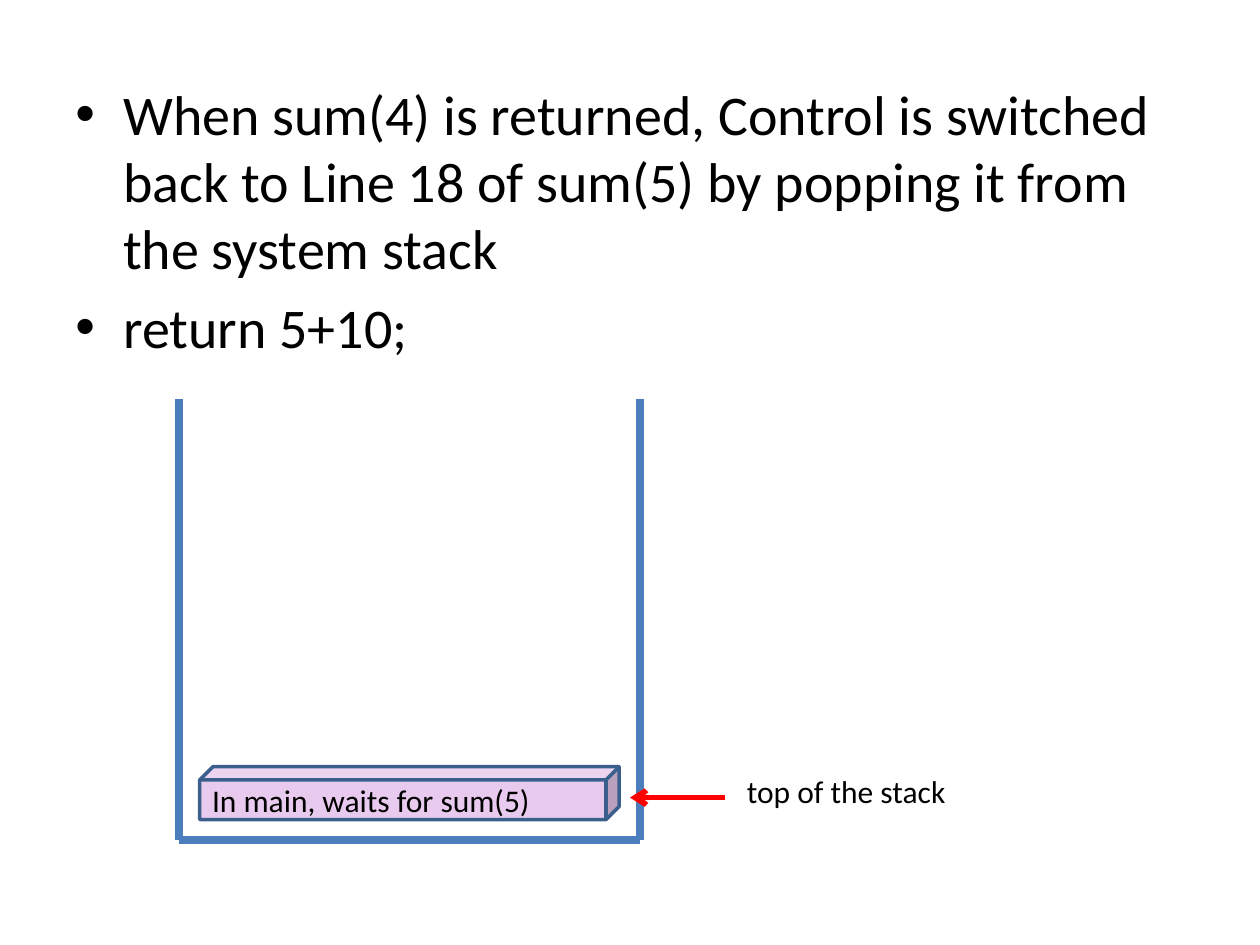
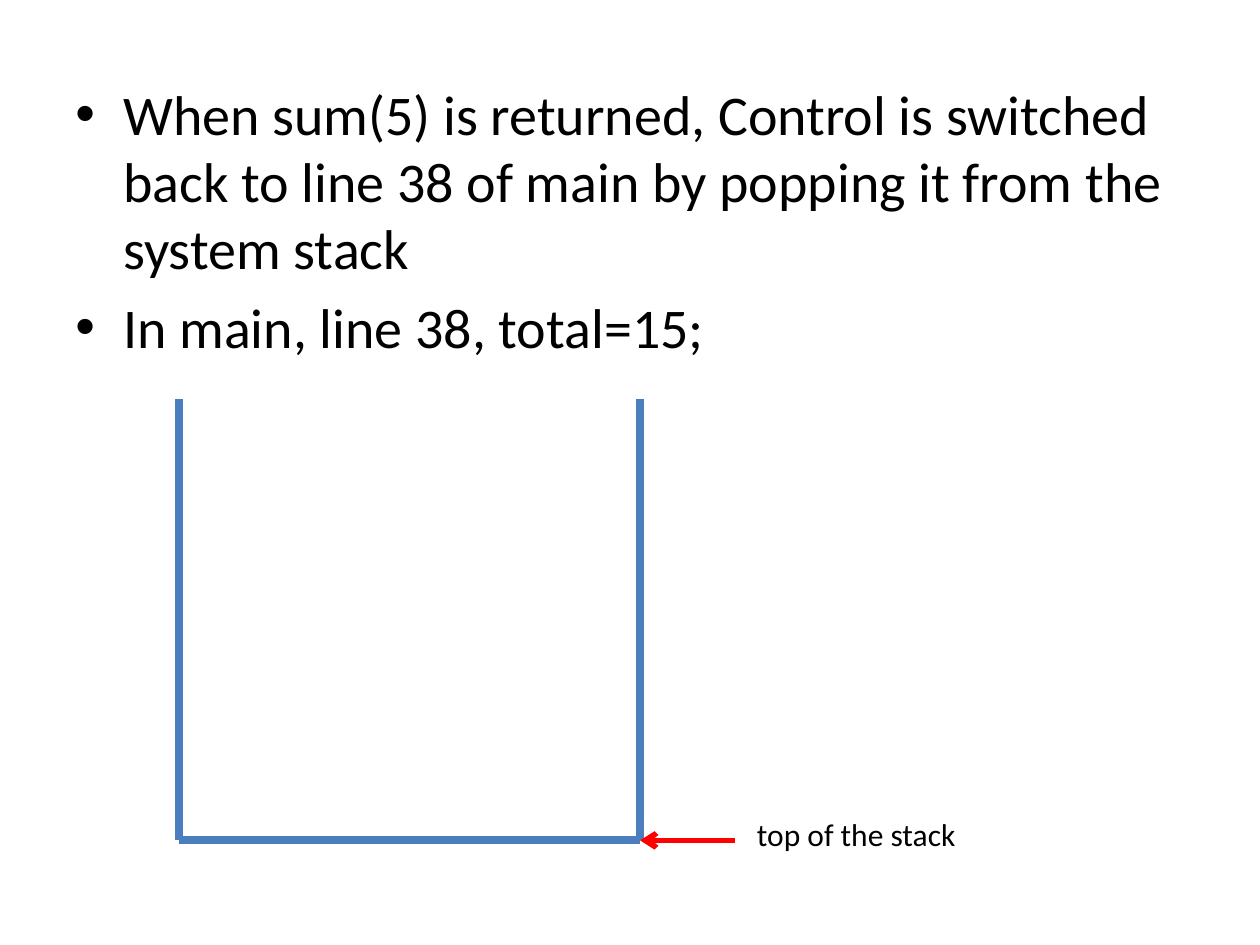
from lxml import etree
from pptx import Presentation
from pptx.dml.color import RGBColor
from pptx.enum.shapes import MSO_CONNECTOR, MSO_SHAPE
from pptx.enum.text import MSO_ANCHOR, MSO_AUTO_SIZE, PP_ALIGN
from pptx.oxml.ns import qn
from pptx.util import Inches, Pt

STRAIGHT = MSO_CONNECTOR.STRAIGHT
CUBE = MSO_SHAPE.CUBE
MIDDLE = MSO_ANCHOR.MIDDLE
LEFT = PP_ALIGN.LEFT
GROW = MSO_AUTO_SIZE.SHAPE_TO_FIT_TEXT

BLACK = RGBColor(0x00, 0x00, 0x00)
STACK_BLUE = RGBColor(0x4B, 0x7E, 0xBC)
FRAME_FILL = RGBColor(0xE8, 0xCA, 0xEE)
FRAME_LINE = RGBColor(0x3A, 0x5F, 0x8C)
POINTER_RED = RGBColor(0xFF, 0x00, 0x00)

FONT = "Calibri"
BODY_SIZE, LABEL_SIZE = 32, 18

# Boxes in inches: left, top, width, height
BODY_BOX = (0.5, 0.58, 9, 6.12)
STACK_BOX = (1.42, 3.17, 3.66, 3.5)
FRAME_HEIGHT = 0.42
FRAME_MARGIN = 0.165
POINTER_LENGTH = 0.75

# Each slide: bullets, stack frames, tip of the pointer
SLIDES = [
    (["When sum(4) is returned, Control is switched back to Line 18 of sum(5) "
      "by popping it from the system stack",
      "return 5+10;"],
     ["In main, waits for sum(5)"], (5, 6.33)),
    (["When sum(5) is returned, Control is switched back to line 38 of main "
      "by popping it from the system stack",
      "In main, line 38, total=15;"],
     [], (5.08, 6.67)),
]


def set_font(paragraph, size):
    paragraph.alignment = LEFT
    paragraph.font.name = FONT
    paragraph.font.size = Pt(size)
    paragraph.font.color.rgb = BLACK


def add_line(shapes, start, end, color, width, arrow=False):
    points = [Inches(value) for value in (*start, *end)]
    line = shapes.add_connector(STRAIGHT, *points)
    line.line.color.rgb = color
    line.line.width = Pt(width)
    if arrow:
        outline = line.line._get_or_add_ln()
        etree.SubElement(outline, qn("a:tailEnd"), type="arrow")
    etree.SubElement(line._element.spPr, qn("a:effectLst"))


def add_bullets(slide, box, texts):
    frame = slide.shapes.add_textbox(*map(Inches, box)).text_frame
    frame.word_wrap = True
    for index, text in enumerate(texts):
        paragraph = frame.paragraphs[0] if index == 0 else frame.add_paragraph()
        paragraph.text = text
        set_font(paragraph, BODY_SIZE)
        paragraph.space_before = Pt(BODY_SIZE * 0.2)
        # Hanging bullet
        properties = paragraph._p.get_or_add_pPr()
        properties.set("marL", str(Inches(0.38)))
        properties.set("indent", str(-Inches(0.38)))
        etree.SubElement(properties, qn("a:buFont"), typeface="Arial")
        etree.SubElement(properties, qn("a:buChar"), char="\u2022")


def add_stack(slide, box, frames):
    left, top, width, height = box
    right, bottom = left + width, top + height

    # Frames, piled up from the bottom
    for level, text in enumerate(frames, start=1):
        cube = slide.shapes.add_shape(
            CUBE, Inches(left + FRAME_MARGIN),
            Inches(bottom - FRAME_MARGIN - level * FRAME_HEIGHT),
            Inches(width - 2 * FRAME_MARGIN), Inches(FRAME_HEIGHT))
        cube.shadow.inherit = False
        cube.fill.solid()
        cube.fill.fore_color.rgb = FRAME_FILL
        cube.line.color.rgb = FRAME_LINE
        cube.line.width = Pt(2)
        cube.text_frame.vertical_anchor = MIDDLE
        cube.text_frame.word_wrap = True
        paragraph = cube.text_frame.paragraphs[0]
        paragraph.text = text
        set_font(paragraph, LABEL_SIZE)

    # Open container
    corners = [(left, top), (left, bottom), (right, bottom), (right, top)]
    container = slide.shapes.add_group_shape()
    for start, end in zip(corners, corners[1:]):
        add_line(container.shapes, start, end, STACK_BLUE, 4.5)


def add_pointer(slide, tip, text):
    x, y = tip
    pointer = slide.shapes.add_group_shape()
    add_line(pointer.shapes, (x + POINTER_LENGTH, y), tip, POINTER_RED, 3, arrow=True)
    label = pointer.shapes.add_textbox(
        Inches(x + POINTER_LENGTH + 0.08), Inches(y - 0.25), Inches(1.8), Inches(0.4))
    label.text_frame.word_wrap = False
    label.text_frame.auto_size = GROW
    paragraph = label.text_frame.paragraphs[0]
    paragraph.text = text
    set_font(paragraph, LABEL_SIZE)


presentation = Presentation()
presentation.slide_width = Inches(10)
presentation.slide_height = Inches(7.5)
blank_layout = presentation.slide_layouts[6]

for bullets, frames, tip in SLIDES:
    slide = presentation.slides.add_slide(blank_layout)
    add_bullets(slide, BODY_BOX, bullets)
    add_stack(slide, STACK_BOX, frames)
    add_pointer(slide, tip, "top of the stack")

presentation.save("out.pptx")
